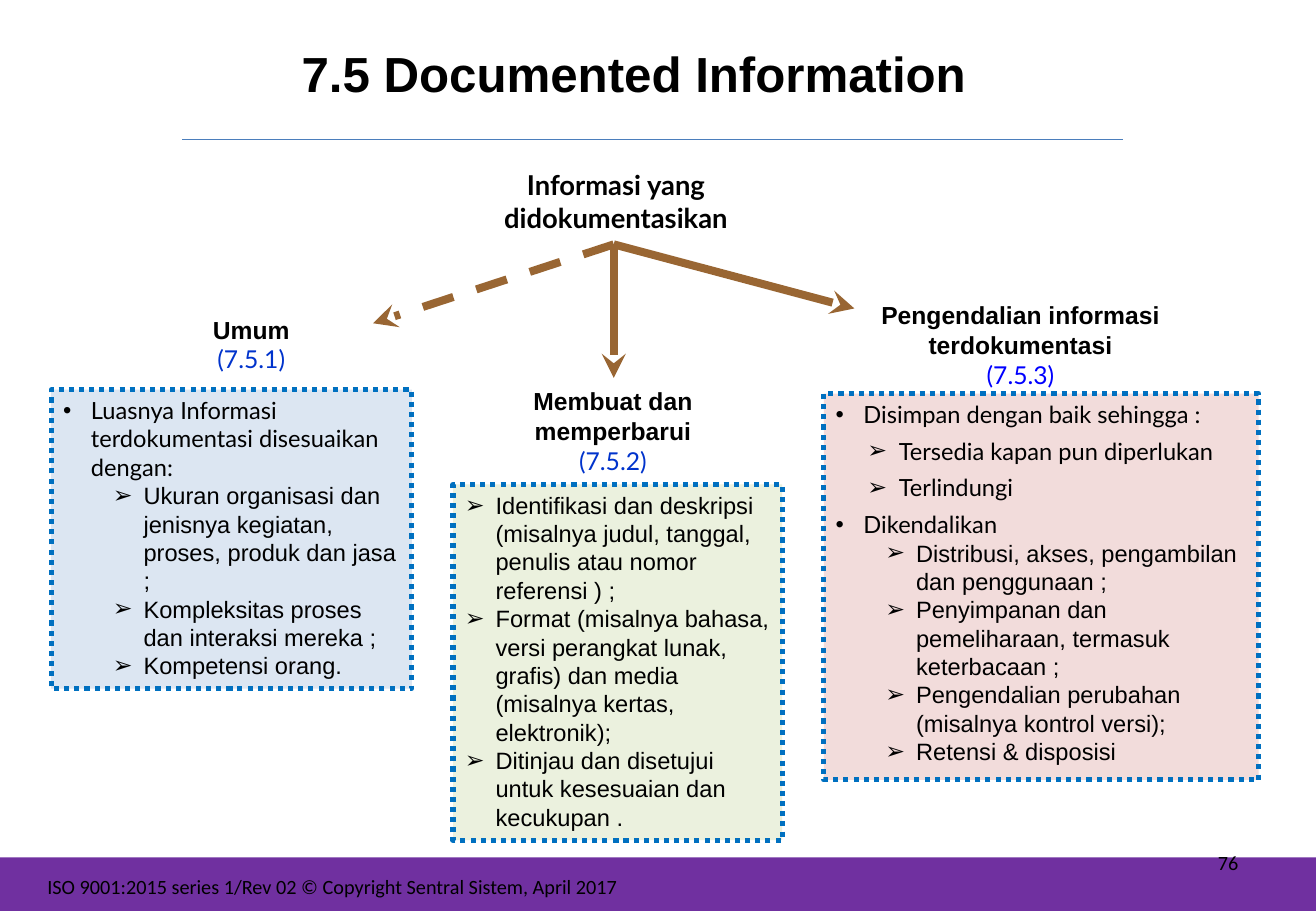
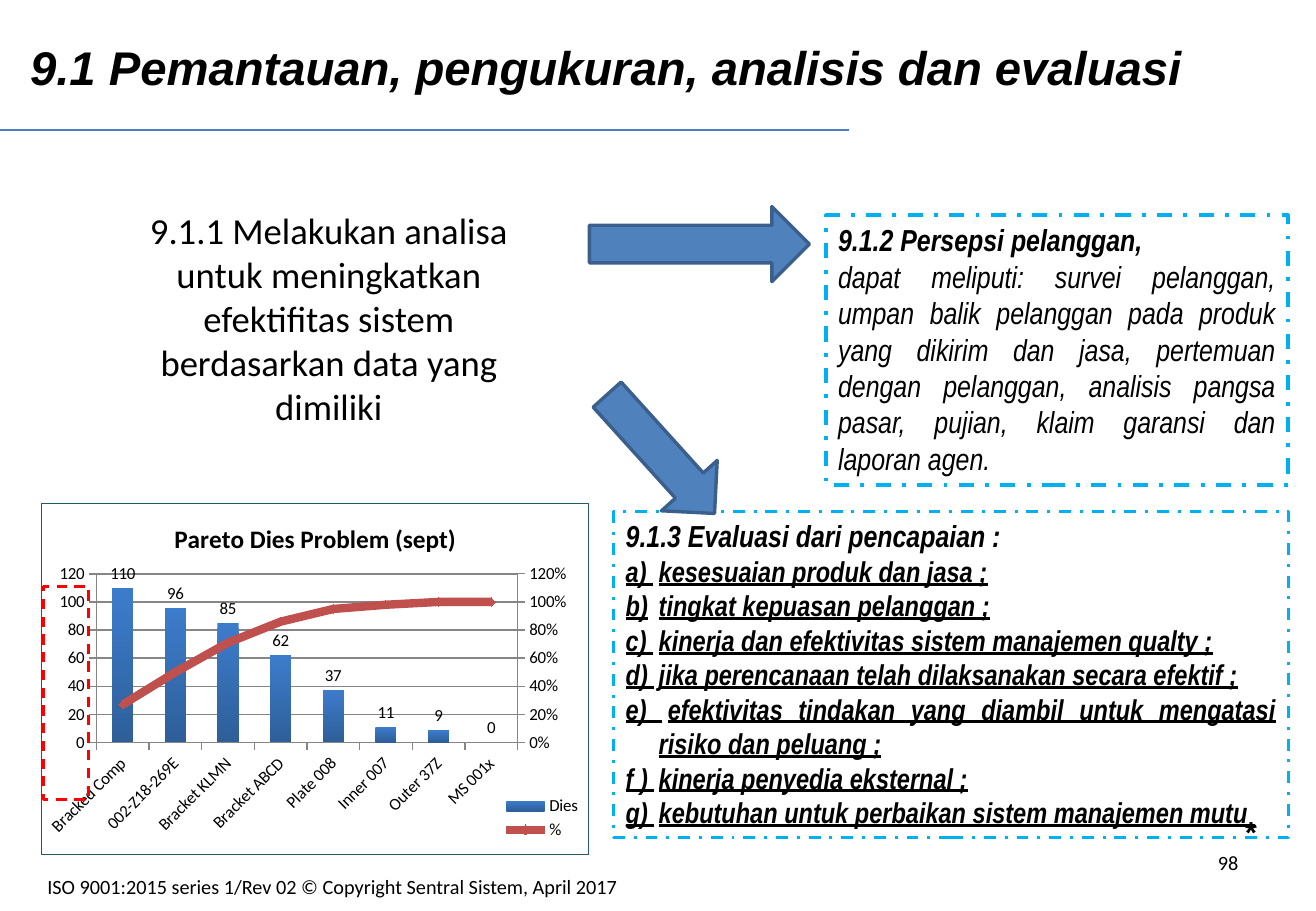
from dataclasses import dataclass, replace

from pptx import Presentation, oxml
from pptx.chart import data as chdata
from pptx.dml.color import RGBColor
from pptx.enum import chart as charts, dml, shapes, text
from pptx.oxml import ns
from pptx.util import Cm, Pt


@dataclass
class Look:
    size: float = 14
    font: str = "Arial"
    color: str = "000000"
    bold: bool = False
    slant: bool = False
    under: bool = False
    align: str = "LEFT"
    bullet: str = ""
    left: float = 0
    hang: float = 0
    gap: float = 0
    level: int = 0
    pitch: float = 1


class theme:
    band, brown, rule = "7030A0", "996633", "4B7EBC"
    dots, dashes, red = "0070C0", "00B0F0", "FF0000"
    blue, edge, grid = "4F81BD", "3A5F8C", "868686"
    green, pink, pale = "EBF1DE", "F2DCDB", "DCE6F2"
    bar_top, bar_end, curve, border = "3D7CCC", "2E5F99", "C0504D", "215968"
    tick, head = 10, 15
    title = Look(29.2, bold=True, align="CENTER")
    slope = Look(28, bold=True, slant=True)
    root = Look(16.2, "Lato", bold=True, align="CENTER")
    label = Look(14.6, bold=True, align="CENTER")
    clause = Look(14.6, "Lato", "0033CC", align="CENTER")
    clause_alt = replace(clause, color="0000FF")
    dot = Look(font="Lato", bullet="•", left=0.58, hang=-0.58, gap=5)
    mid = Look(font="Lato", bullet="➢", left=1.32, hang=-0.66, gap=5, level=1)
    deep = Look(bullet="➢", left=1.68, hang=-0.64, level=1)
    flat = Look(bullet="➢", left=0.64, hang=-0.64)
    claim = Look(21.7, "Calibri", align="CENTER")
    prose = Look(18, "Arial Narrow", slant=True, align="JUSTIFY")
    lead = replace(prose, bold=True)
    point = replace(lead, size=17, under=True, left=0.69, hang=-0.69)
    star = Look(18, bold=True, pitch=1.05)
    foot = Look(12, "Calibri")
    page = replace(foot, align="RIGHT")


rgb = RGBColor.from_string
line_dash = dml.MSO_LINE


def write(box, spot, rows, anchor="TOP", fill=None, edge=None):
    box.left, box.top, box.width, box.height = [Cm(v) for v in spot]
    frame = box.text_frame
    frame.word_wrap = True
    frame.auto_size = text.MSO_AUTO_SIZE.NONE
    frame.vertical_anchor = text.MSO_ANCHOR[anchor]
    frame.margin_left = frame.margin_right = Cm(0.25)
    frame.margin_top = frame.margin_bottom = Cm(0.13)
    for n, (words, look) in enumerate(rows):
        para = frame.add_paragraph() if n else frame.paragraphs[0]
        para.text = words
        para.level = look.level
        para.alignment = text.PP_ALIGN[look.align]
        para.line_spacing = look.pitch
        para.space_before = Pt(look.gap if n else 0)
        props = para._p.get_or_add_pPr()
        props.set("marL", str(Cm(look.left)))
        props.set("indent", str(Cm(look.hang)))
        if look.bullet:
            oxml.xmlchemy.OxmlElement
            sign = props.makeelement(ns.qn("a:buFont"), {"typeface": "Arial"})
            props.append(sign)
            props.append(props.makeelement(ns.qn("a:buChar"), {"char": look.bullet}))
        else:
            props.append(props.makeelement(ns.qn("a:buNone"), {}))
        font = para.font
        font.size, font.name, font.color.rgb = Pt(look.size), look.font, rgb(look.color)
        font.bold, font.italic, font.underline = look.bold, look.slant, look.under
    if fill:
        box.fill.solid()
        box.fill.fore_color.rgb = rgb(fill)
    if edge:
        color, width, dash = edge
        box.line.color.rgb, box.line.width, box.line.dash_style = rgb(color), Pt(width), dash


def join(slide, ends, color, width, dash=None, tip=False):
    link = slide.shapes.add_connector(
        shapes.MSO_CONNECTOR.STRAIGHT, *[Cm(v) for v in ends])
    link.line.color.rgb, link.line.width = rgb(color), Pt(width)
    if dash:
        link.line.dash_style = dash
    props = link.element.spPr
    if tip:
        stroke = link.line._get_or_add_ln()
        stroke.append(stroke.makeelement(ns.qn("a:tailEnd"), {"type": "stealth"}))
    props.append(props.makeelement(ns.qn("a:effectLst"), {}))


deck = Presentation()
deck.slide_width, deck.slide_height = Cm(27.51), Cm(19.05)

docs = deck.slides.add_slide(deck.slide_layouts.get_by_name("Comparison"))
head, root, left, mid, right = docs.placeholders
write(head, (4.17, 0.64, 18.16, 1.78),
      [("7.5 Documented Information", theme.title)], "MIDDLE")
write(root, (8.94, 3.38, 7.87, 1.65),
      [("Informasi yang didokumentasikan", theme.root)])
dotted = (theme.dots, 3, line_dash.ROUND_DOT)
write(left, (1.07, 8.15, 7.54, 6.25), [
    ("Luasnya Informasi terdokumentasi disesuaikan dengan:", theme.dot),
    ("Ukuran organisasi dan jenisnya kegiatan, proses, produk dan jasa ;", theme.deep),
    ("Kompleksitas proses dan interaksi mereka ;", theme.deep),
    ("Kompetensi orang.", theme.deep),
], fill=theme.pale, edge=dotted)
write(mid, (9.47, 10.13, 6.88, 7.44), [
    ("Identifikasi dan deskripsi (misalnya judul, tanggal, penulis atau nomor referensi ) ;",
     theme.flat),
    ("Format (misalnya bahasa, versi perangkat lunak, grafis) dan media "
     "(misalnya kertas, elektronik);", theme.flat),
    ("Ditinjau dan disetujui untuk kesesuaian dan kecukupan .", theme.flat),
], fill=theme.green, edge=dotted)
write(right, (17.22, 8.23, 9.09, 8.08), [
    ("Disimpan dengan baik sehingga :", theme.dot),
    ("Tersedia kapan pun diperlukan", theme.mid),
    ("Terlindungi", theme.mid),
    ("Dikendalikan", theme.dot),
    ("Distribusi, akses, pengambilan dan penggunaan ;", theme.deep),
    ("Penyimpanan dan pemeliharaan, termasuk keterbacaan ;", theme.deep),
    ("Pengendalian perubahan (misalnya kontrol versi);", theme.deep),
    ("Retensi & disposisi", theme.deep),
], fill=theme.pink, edge=dotted)
for spot, words, clause, look in (
    ((1.9, 6.45, 6.71, 1.5), "Umum", "(7.5.1)", theme.clause),
    ((9.27, 7.95, 7.09, 2.13), "Membuat dan memperbarui", "(7.5.2)", theme.clause),
    ((18.16, 6.15, 6.35, 2.13), "Pengendalian informasi terdokumentasi", "(7.5.3)",
     theme.clause_alt),
):
    write(docs.shapes.add_textbox(0, 0, 0, 0), spot,
          [(words, theme.label), (clause, look)])
for x, y, dash in ((7.8, 6.76, line_dash.DASH), (12.83, 7.9, None), (17.86, 6.45, None)):
    join(docs, (12.83, 5.11, x, y), theme.brown, 4.75, dash, True)
join(docs, (3.81, 2.92, 23.47, 2.92), theme.rule, 0.75)
band = docs.shapes.add_shape(
    shapes.MSO_SHAPE.RECTANGLE, 0, Cm(17.93), deck.slide_width, Cm(1.12))
band.shadow.inherit = False
band.fill.solid()
band.fill.fore_color.rgb = rgb(theme.band)
band.line.fill.background()

review = deck.slides.add_slide(deck.slide_layouts.get_by_name("Two Content"))
head, goals, views = review.placeholders
write(head, (0.38, 0.66, 25.9, 1.45),
      [("9.1 Pemantauan, pengukuran, analisis dan evaluasi", theme.slope)], "MIDDLE")
write(goals, (12.83, 10.69, 14.1, 6.83), [
    ("9.1.3 Evaluasi dari pencapaian :", theme.lead)] + [(words, theme.point) for words in (
        "a) \tkesesuaian produk dan jasa ;",
        "b)\ttingkat kepuasan pelanggan ;",
        "c) \tkinerja dan efektivitas sistem manajemen qualty ;",
        "d) \tjika perencanaan telah dilaksanakan secara efektif ;",
        "e) \tefektivitas tindakan yang diambil untuk mengatasi risiko dan peluang ;",
        "f ) \tkinerja penyedia eksternal ;",
        "g) \tkebutuhan untuk perbaikan sistem manajemen mutu ",
    )], edge=(theme.dashes, 1.75, line_dash.DASH_DOT))
write(views, (17.27, 4.5, 9.65, 5.64), [
    ("9.1.2 Persepsi pelanggan,", theme.lead),
    ("dapat meliputi: survei pelanggan, umpan balik pelanggan pada produk yang dikirim "
     "dan jasa, pertemuan dengan pelanggan, analisis pangsa pasar, pujian, klaim garansi "
     "dan laporan agen.", theme.prose),
], edge=(theme.dashes, 2.25, line_dash.DASH_DOT))
write(review.shapes.add_textbox(0, 0, 0, 0), (2.11, 4.22, 9.53, 4.88), [
    ("9.1.1 Melakukan analisa untuk meningkatkan efektifitas sistem berdasarkan data "
     "yang dimiliki", theme.claim)])
write(review.shapes.add_textbox(0, 0, 0, 0), (25.78, 16.84, 0.76, 1.07),
      [("*", theme.star)])
join(review, (0, 2.72, 17.75, 2.72), theme.rule, 0.75)
for x, y, width, turn in ((12.32, 4.32, 4.6, 0), (12.14, 8.71, 3.35, 47.9)):
    arrow = review.shapes.add_shape(
        shapes.MSO_SHAPE.RIGHT_ARROW, Cm(x), Cm(y), Cm(width), Cm(1.57))
    arrow.rotation = turn
    arrow.shadow.inherit = False
    arrow.fill.solid()
    arrow.fill.fore_color.rgb = rgb(theme.blue)
    arrow.line.color.rgb, arrow.line.width = rgb(theme.edge), Pt(2)

data = chdata.CategoryChartData()
data.categories = ["Bracked Comp", "002-Z18-269E", "Bracket KLMN", "Bracket ABCD",
                   "Plate 008", "Inner 007", "Outer 37Z", "MS 001x"]
data.add_series("Dies", (110, 96, 85, 62, 37, 11, 9, 0))
data.add_series("%", (0.27, 0.5, 0.71, 0.86, 0.95, 0.98, 1, 1), "0%")
chart = review.shapes.add_chart(
    charts.XL_CHART_TYPE.COLUMN_CLUSTERED, Cm(0.86), Cm(10.52), Cm(11.46), Cm(7.37),
    data).chart
chart.font.size, chart.font.name = Pt(theme.tick), "Calibri"
chart.font.color.rgb = rgb("000000")
chart.has_title = True
chart.chart_title.include_in_layout = False
para = chart.chart_title.text_frame.paragraphs[0]
para.text = "Pareto Dies Problem (sept)"
para.font.size, para.font.bold, para.font.name = Pt(theme.head), True, "Calibri"
para.font.color.rgb = rgb("000000")
chart.has_legend = True
chart.legend.position = charts.XL_LEGEND_POSITION.RIGHT
chart.legend.include_in_layout = False

side, base = chart.value_axis, chart.category_axis
side.minimum_scale, side.maximum_scale, side.major_unit = 0, 120, 20
for stroke in (side.format.line, base.format.line, side.major_gridlines.format.line):
    stroke.color.rgb, stroke.width = rgb(theme.grid), Pt(0.75)
base.tick_labels.font.size = Pt(theme.tick)
base.tick_labels.font.color.rgb = rgb("000000")
root = chart.element
root.xpath(".//c:catAx/c:txPr/a:bodyPr")[0].set("rot", "-2700000")

bars = root.xpath(".//c:barChart")[0]
curve = bars.xpath("c:ser")[1]
for flag in curve.xpath("c:invertIfNegative"):
    curve.remove(flag)
names = ns.nsdecls("c", "a")
lines = oxml.parse_xml(
    f'<c:lineChart {names}><c:grouping val="standard"/><c:varyColors val="0"/>'
    '<c:marker val="1"/><c:axId val="501"/><c:axId val="502"/></c:lineChart>')
lines.insert(2, curve)
bars.addnext(lines)
under = oxml.parse_xml(
    f'<c:catAx {names}><c:axId val="501"/><c:scaling><c:orientation val="minMax"/>'
    '</c:scaling><c:delete val="1"/><c:axPos val="b"/><c:crossAx val="502"/>'
    '<c:crosses val="autoZero"/></c:catAx>')
share = oxml.parse_xml(
    f'<c:valAx {names}><c:axId val="502"/><c:scaling><c:orientation val="minMax"/>'
    '<c:max val="1.2"/><c:min val="0"/></c:scaling><c:delete val="0"/>'
    '<c:axPos val="r"/><c:numFmt formatCode="0%" sourceLinked="0"/>'
    '<c:majorTickMark val="out"/><c:minorTickMark val="none"/>'
    f'<c:tickLblPos val="nextTo"/><c:spPr><a:ln w="9525"><a:solidFill>'
    f'<a:srgbClr val="{theme.grid}"/></a:solidFill></a:ln></c:spPr>'
    '<c:crossAx val="501"/><c:crosses val="max"/><c:majorUnit val="0.2"/></c:valAx>')
last = root.xpath(".//c:valAx")[0]
last.addnext(under)
under.addnext(share)

columns, trend = chart.plots
columns.gap_width, columns.vary_by_categories = 150, False
columns.has_data_labels = True
columns.data_labels.show_value = True
columns.data_labels.position = charts.XL_LABEL_POSITION.OUTSIDE_END
paint = columns.series[0].format.fill
paint.gradient()
paint.gradient_angle = 270
for stop, color in zip(paint.gradient_stops, (theme.bar_top, theme.bar_end)):
    stop.color.rgb = rgb(color)
share_line = trend.series[0]
share_line.smooth = False
share_line.format.line.color.rgb = rgb(theme.curve)
share_line.format.line.width = Pt(5)
share_line.marker.style, share_line.marker.size = charts.XL_MARKER_STYLE.DIAMOND, 5
share_line.marker.format.fill.solid()
share_line.marker.format.fill.fore_color.rgb = rgb(theme.curve)
share_line.marker.format.line.color.rgb = rgb(theme.curve)

plot, key = root.xpath(".//c:plotArea")[0], root.xpath(".//c:legend")[0]
for old in plot.xpath("c:layout") + key.xpath("c:layout"):
    old.getparent().remove(old)
for home, place, inner, spot in (
    (plot, 0, '<c:layoutTarget val="inner"/>', (0.1, 0.2, 0.77, 0.48)),
    (key, 1, "", (0.84, 0.82, 0.15, 0.15)),
):
    sizes = "".join(f'<c:{tag} val="{v}"/>' for tag, v in zip("xywh", spot))
    home.insert(place, oxml.parse_xml(
        f'<c:layout {names}><c:manualLayout>{inner}<c:xMode val="edge"/>'
        f'<c:yMode val="edge"/>{sizes}</c:manualLayout></c:layout>'))
root.xpath("c:chart")[0].addnext(oxml.parse_xml(
    f'<c:spPr {names}><a:noFill/><a:ln w="9525"><a:solidFill>'
    f'<a:srgbClr val="{theme.border}"/></a:solidFill></a:ln></c:spPr>'))

mark = review.shapes.add_shape(
    shapes.MSO_SHAPE.RECTANGLE, Cm(0.91), Cm(12.27), Cm(0.94), Cm(4.45))
mark.shadow.inherit = False
mark.fill.background()
mark.line.color.rgb, mark.line.width = rgb(theme.red), Pt(1.5)
mark.line.dash_style = line_dash.DASH

for slide, number in ((docs, "76"), (review, "98")):
    for spot, words, look in (
        ((0.74, 18.16, 15.21, 1.02),
         "ISO 9001:2015 series 1/Rev 02 © Copyright Sentral Sistem, April 2017", theme.foot),
        ((19.71, 17.65, 6.43, 1.02), number, theme.page),
    ):
        write(slide.shapes.add_textbox(0, 0, 0, 0), spot, [(words, look)])

deck.save("out.pptx")
